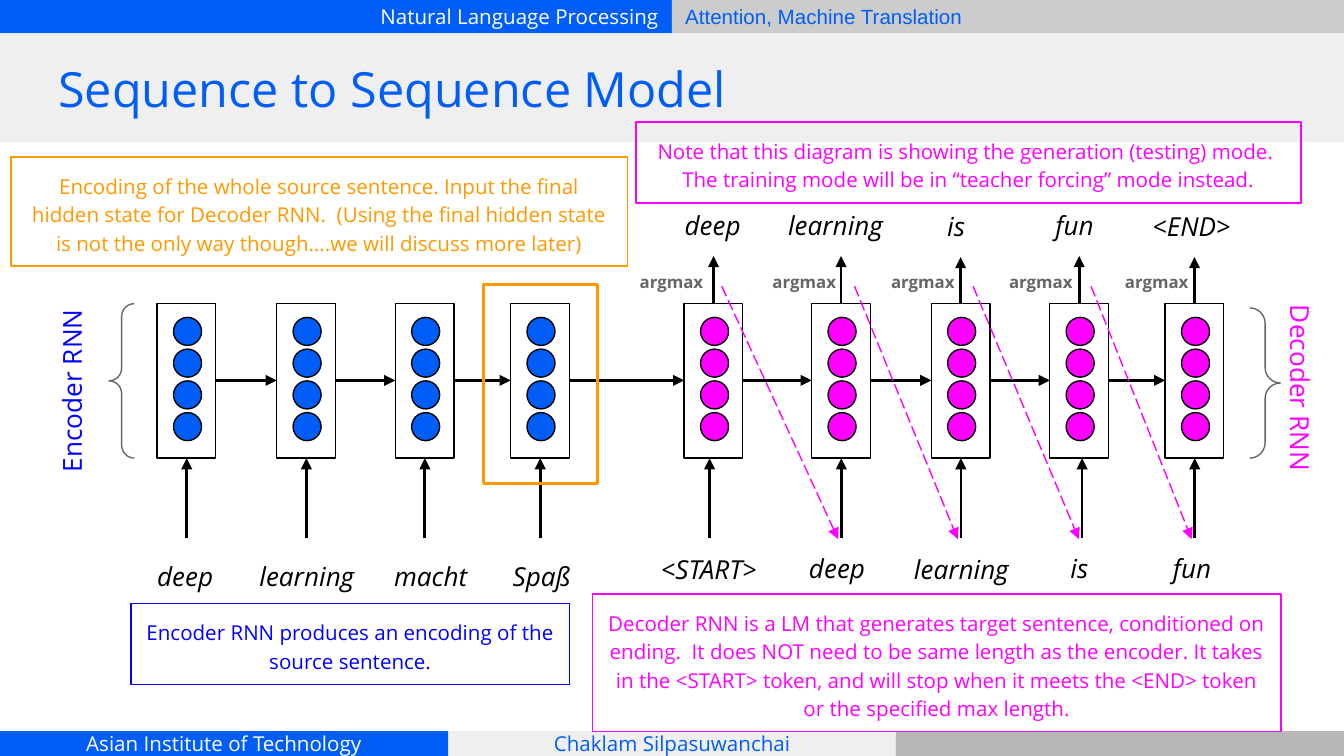
"""Build a slide that explains the sequence to sequence model."""
from typing import NamedTuple, Optional

import pptx
import pptx.dml.color
import pptx.enum.dml
import pptx.enum.shapes
import pptx.enum.text
import pptx.oxml
import pptx.oxml.ns
import pptx.util

SHAPE = pptx.enum.shapes.MSO_SHAPE
ALIGN = pptx.enum.text.PP_ALIGN
ANCHOR = pptx.enum.text.MSO_ANCHOR
BLUE, PURE_BLUE, MAGENTA, ORANGE = "005EF6", "0000FF", "FF00FF", "FF9900"
BLACK, WHITE, GREY, PALE = "000000", "FFFFFF", "666666", "EFEFEF"
CELL_TOP, CELL_W, CELL_H = 5.74, 1.11, 2.92
DOT, DOT_PITCH = 0.53, 0.6
STATE_Y = 7.19


class Step(NamedTuple):
    """One time step of an RNN, with lengths in cm."""
    x: float
    color: str
    word: str
    word_x: float
    word_y: float
    input_x: float
    output: str = ""
    output_x: float = 0
    output_y: float = 0
    argmax_x: float = 0


class Panel(NamedTuple):
    """A rectangle with optional text, with lengths in cm."""
    x: float
    y: float
    w: float
    h: float
    text: str = ""
    color: str = BLACK
    fill: Optional[str] = None
    line: Optional[str] = None
    align: ALIGN = ALIGN.CENTER


ENCODER = [
    Step(2.97, BLUE, "deep", 3.5, 10.34, 3.53),
    Step(5.23, BLUE, "learning", 5.8, 10.34, 5.79),
    Step(7.47, BLUE, "macht", 8.14, 10.34, 8.03),
    Step(9.65, BLUE, "Spaß", 10.24, 10.34, 10.21),
]
DECODER = [
    Step(12.93, MAGENTA, "<START>", 13.4, 10.21, 13.41, "deep", 13.47, 3.71, 11.84),
    Step(15.34, MAGENTA, "deep", 15.82, 10.19, 15.9, "learning", 15.79, 3.71, 14.35),
    Step(17.6, MAGENTA, "learning", 18.17, 10.21, 18.16, "is", 18.07, 3.73, 16.59),
    Step(19.84, MAGENTA, "is", 20.4, 10.19, 20.45, "fun", 20.31, 3.71, 18.82),
    Step(22.02, MAGENTA, "fun", 22.53, 10.19, 22.58, "<END>", 22.52, 3.73, 21.01),
]
BARS = [
    Panel(0, 0, 12.7, 0.63, "Natural Language Processing", WHITE, BLUE, align=ALIGN.RIGHT),
    Panel(8.47, 13.82, 8.47, 0.47, "Chaklam Silpasuwanchai", BLUE, PALE),
    Panel(16.93, 13.82, 8.47, 0.47, fill="B7B7B7"),
    Panel(0, 13.82, 8.47, 0.47, "Asian Institute of Technology", WHITE, BLUE),
    Panel(0, 0.63, 25.4, 2.06, fill=PALE),
]
TOPIC = Panel(12.7, 0, 12.7, 0.63, "Attention, Machine Translation", BLUE, "CCCCCC",
              align=ALIGN.LEFT)
NOTES = [
    Panel(11.2, 11.23, 13.01, 2.6,
          "Decoder RNN is a LM that generates target sentence, conditioned on ending.  "
          "It does NOT need to be same length as the encoder. It takes in the <START> token, "
          "and will stop when it meets the <END> token or the specified max length.",
          MAGENTA, line=MAGENTA),
    Panel(12.02, 2.31, 12.57, 1.53,
          "Note that this diagram is showing the generation (testing) mode.  "
          "The training mode will be in “teacher forcing” mode instead.",
          MAGENTA, line=MAGENTA),
    Panel(0.21, 2.97, 11.65, 2.06,
          "Encoding of the whole source sentence. Input the final hidden state for Decoder RNN.  "
          "(Using the final hidden state is not the only way though….we will discuss more later)",
          ORANGE, line=ORANGE),
    Panel(2.48, 11.41, 8.28, 1.53,
          "Encoder RNN produces an encoding of the source sentence.", PURE_BLUE, line=PURE_BLUE),
]


def rgb(color: str) -> pptx.dml.color.RGBColor:
    """Turn a hex string into a colour."""
    return pptx.dml.color.RGBColor.from_string(color)


def cm(*lengths: float) -> list:
    """Turn numbers into lengths."""
    return [pptx.util.Cm(v) for v in lengths]


def write(sp, text: str, color: str, size: float, align=ALIGN.CENTER, anchor=ANCHOR.TOP,
          spacing: float = 1.0, wrap: bool = True, **font) -> None:
    """Put one formatted paragraph into a shape."""
    tf = sp.text_frame
    frame = {"word_wrap": wrap, "vertical_anchor": anchor}
    for side in ("left", "right", "top", "bottom"):
        frame[f"margin_{side}"] = pptx.util.Cm(0.25)
    for name, value in frame.items():
        setattr(tf, name, value)
    p = tf.paragraphs[0]
    p.alignment, p.line_spacing = align, spacing
    r = p.add_run()
    r.text = text
    for name, value in ({"name": "Open Sans", "size": pptx.util.Pt(size)} | font).items():
        setattr(r.font, name, value)
    r.font.color.rgb = rgb(color)


def shape(s, kind, x: float, y: float, w: float, h: float, fill: Optional[str] = None,
          line: Optional[str] = None, width: float = 0.75):
    """Draw a preset shape without a shadow."""
    sp = s.shapes.add_shape(kind, *cm(x, y, w, h))
    sp.shadow.inherit = False
    for part, color in ((sp.fill, fill), (sp.line.fill, line)):
        if color:
            part.solid()
            part.fore_color.rgb = rgb(color)
        else:
            part.background()
    if line:
        sp.line.width = pptx.util.Pt(width)
    return sp


def panel(s, item: Panel, anchor=ANCHOR.TOP, spacing: float = 1.0, **font) -> None:
    """Draw a rectangle and its text."""
    sp = shape(s, SHAPE.RECTANGLE, *item[:4], item.fill, item.line)
    if item.text:
        write(sp, item.text, item.color, 11, item.align, anchor, spacing, **font)


def label(s, x: float, y: float, w: float, h: float, text: str, color: str = BLACK,
          size: float = 14, rotation: float = 0, **style) -> None:
    """Draw a text box."""
    sp = s.shapes.add_textbox(*cm(x, y, w, h))
    sp.rotation = rotation
    write(sp, text, color, size, **style)


def arrow(s, x1: float, y1: float, x2: float, y2: float, color: str = BLACK,
          width: float = 1.5, dash=None) -> None:
    """Draw a straight arrow."""
    c = s.shapes.add_connector(pptx.enum.shapes.MSO_CONNECTOR.STRAIGHT, *cm(x1, y1, x2, y2))
    c.line.color.rgb = rgb(color)
    c.line.width = pptx.util.Pt(width)
    if dash:
        c.line.dash_style = dash
    ln = c.line._get_or_add_ln()
    pptx.oxml.ns.qn("a:tailEnd")
    ln.append(pptx.oxml.parse_xml(f'<a:tailEnd {pptx.oxml.ns.nsdecls("a")} type="triangle"/>'))
    c._element.spPr.append(pptx.oxml.parse_xml(f'<a:effectLst {pptx.oxml.ns.nsdecls("a")}/>'))


def step(s, item: Step) -> None:
    """Draw a hidden state with its input and output."""
    shape(s, SHAPE.RECTANGLE, item.x, CELL_TOP, CELL_W, CELL_H, line=BLACK)
    for i in range(4):
        shape(s, SHAPE.OVAL, item.x + 0.31, 6 + i * DOT_PITCH, DOT, DOT, item.color, BLACK)
    arrow(s, item.input_x, 10.16, item.input_x, CELL_TOP + CELL_H)
    label(s, item.word_x - 1.25, item.word_y, 2.5, 1.11, item.word, italic=True)
    if item.output:
        center = item.x + CELL_W / 2
        arrow(s, center, CELL_TOP, center, item.output_y + 1.13)
        label(s, item.argmax_x, 4.95, 1.8, 0.89, "argmax", GREY, 9, align=ALIGN.LEFT, bold=True)
        label(s, item.output_x - 1.25, item.output_y, 2.5, 1.11, item.output, italic=True)


def main() -> None:
    """Build and save the slide."""
    prs = pptx.Presentation()
    prs.slide_width, prs.slide_height = cm(25.4, 14.29)
    s = prs.slides.add_slide(prs.slide_layouts[5])
    for item in BARS:
        panel(s, item, ANCHOR.MIDDLE)
    panel(s, TOPIC, ANCHOR.MIDDLE, name="Arial")
    title = s.shapes.title
    for name, value in zip(("left", "top", "width", "height"), cm(0.85, 0.63, 24.55, 2.06)):
        setattr(title, name, value)
    write(title, "Sequence to Sequence Model", BLUE, 26, ALIGN.LEFT, ANCHOR.MIDDLE)
    s.shapes._spTree.append(title._element)

    steps = ENCODER + DECODER
    for item in steps:
        step(s, item)
    for a, b in zip(steps, steps[1:]):
        arrow(s, a.x + CELL_W, STATE_Y, b.x, STATE_Y)
    for a, b in zip(DECODER, DECODER[1:]):
        arrow(s, a.argmax_x + 1.8, 5.41, b.input_x - 0.06, 10.19, MAGENTA, 0.75,
              pptx.enum.dml.MSO_LINE.LONG_DASH)

    for kind, x, y, w, h in ((SHAPE.LEFT_BRACE, 2.06, 5.74, 0.48, 2.92),
                             (SHAPE.RIGHT_BRACE, 23.62, 5.82, 0.58, 2.84)):
        shape(s, kind, x, y, w, h, line=GREY).adjustments[0] = 0.5
    label(s, -1.04, 6.83, 4.8, 1.11, "Encoder RNN", PURE_BLUE, rotation=270)
    label(s, 22.17, 6.78, 4.8, 1.11, "Decoder RNN", MAGENTA, rotation=90)
    shape(s, SHAPE.RECTANGLE, 9.14, 5.38, 2.16, 3.76, line=ORANGE, width=1.5)
    for item in NOTES:
        panel(s, item, spacing=1.15)
    prs.save("out.pptx")


if __name__ == "__main__":
    main()
